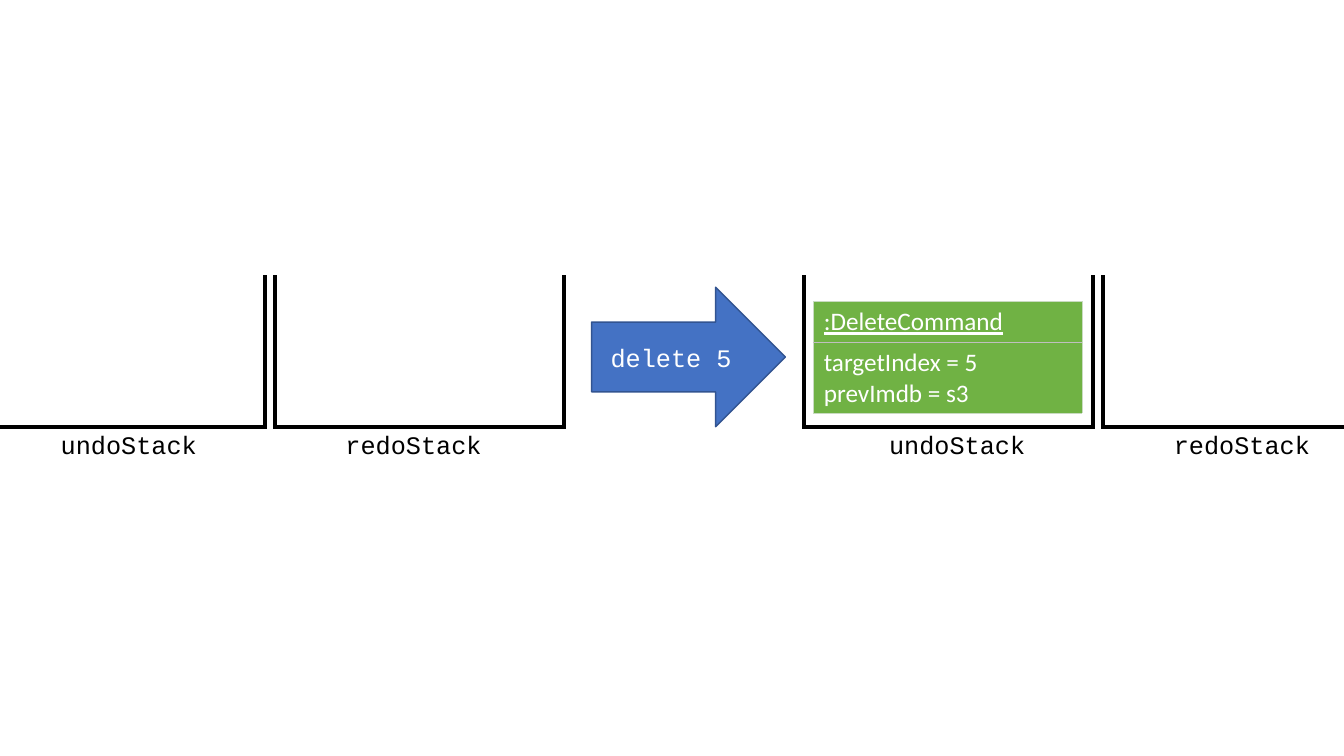
from lxml import etree
from pptx import Presentation
from pptx.dml.color import RGBColor
from pptx.enum import shapes, text
from pptx.oxml import ns
from pptx.util import Pt

MONO = "Courier New"
STACK_W, STACK_H = 206.5, 108.4
LABEL_W, LABEL_H = 193.7, 28.8
TOP = 196.7
PITCH = 213.4


def hue(code):
    return RGBColor.from_string(code)


def style(par, face, code, align=text.PP_ALIGN.LEFT, under=False):
    par.alignment = align
    for run in par.runs:
        font = run.font
        font.name, font.size, font.underline = face, Pt(18), under
        font.color.rgb = hue(code)


def draw_stack(slide, left, top, name, shift):
    """Draw an open-topped stack; shift is the label's inset from its left."""
    right, base = left + STACK_W, top + STACK_H
    pen = slide.shapes.build_freeform(Pt(left), Pt(top))
    pen.add_line_segments(
        [(Pt(left), Pt(base)), (Pt(right), Pt(base)), (Pt(right), Pt(top))],
        close=False)
    wall = pen.convert_to_shape()
    wall.shadow.inherit = False
    wall.fill.background()
    wall.line.color.rgb = hue("000000")
    wall.line.width = Pt(3)
    etree.SubElement(wall.line._get_or_add_ln(), ns.qn("a:miter"), lim="800000")

    label = slide.shapes.add_textbox(
        Pt(left + shift), Pt(base - 2), Pt(LABEL_W), Pt(LABEL_H))
    frame = label.text_frame
    frame.word_wrap = True
    frame.text = name
    style(frame.paragraphs[0], MONO, "000000", text.PP_ALIGN.CENTER)


def draw_pair(slide, left, top):
    draw_stack(slide, left, top, "undoStack", 12.3)
    draw_stack(slide, left + PITCH, top, "redoStack", 2.3)


def draw_arrow(slide, left, top, width, height):
    arrow = slide.shapes.add_shape(
        shapes.MSO_SHAPE.RIGHT_ARROW, Pt(left), Pt(top), Pt(width), Pt(height))
    arrow.shadow.inherit = False
    arrow.fill.solid()
    arrow.fill.fore_color.rgb = hue("4472C4")
    arrow.line.color.rgb = hue("325491")
    arrow.line.width = Pt(1)
    frame = arrow.text_frame
    frame.vertical_anchor = text.MSO_ANCHOR.MIDDLE
    frame.text = "delete 5"
    style(frame.paragraphs[0], MONO, "FFFFFF", text.PP_ALIGN.CENTER)


def edge(cell, sides):
    """Set cell borders from (side, colour, width) in schema order."""
    props = cell._tc.get_or_add_tcPr()
    for spot, (side, code, width) in enumerate(sides):
        line = etree.Element(ns.qn("a:ln" + side), w=str(Pt(width)))
        fill = etree.SubElement(line, ns.qn("a:solidFill"))
        etree.SubElement(fill, ns.qn("a:srgbClr"), val=code)
        props.insert(spot, line)


def draw_command(slide, left, top, width, heights):
    rows = [":DeleteCommand", "targetIndex = 5\nprevImdb = s3"]
    table = slide.shapes.add_table(
        len(rows), 1, Pt(left), Pt(top), Pt(width), Pt(sum(heights))).table
    table.first_row = table.horz_banding = False
    pale, rule = ("C9DBC1", 0.5), ("BFBFBF", 1)
    for i, (words, height) in enumerate(zip(rows, heights)):
        head = i == 0
        table.rows[i].height = Pt(height)
        cell = table.cell(i, 0)
        cell.text_frame.text = words
        for par in cell.text_frame.paragraphs:
            style(par, "Calibri", "FFFFFF", under=head)
        cell.fill.solid()
        cell.fill.fore_color.rgb = hue("70B244")
        edge(cell, [("L", *pale), ("R", *pale),
                    ("T", *(pale if head else rule)),
                    ("B", *(rule if head else pale))])


def main():
    deck = Presentation()
    deck.slide_width, deck.slide_height = Pt(960), Pt(540)
    slide = deck.slides.add_slide(deck.slide_layouts[6])
    draw_pair(slide, -17.2, TOP)
    draw_arrow(slide, 422.6, 205.2, 138.4, 99.6)
    draw_pair(slide, 574.5, TOP)
    draw_command(slide, 581.3, 215.5, 191.7, (29, 50.4))
    deck.save("out.pptx")


if __name__ == "__main__":
    main()
